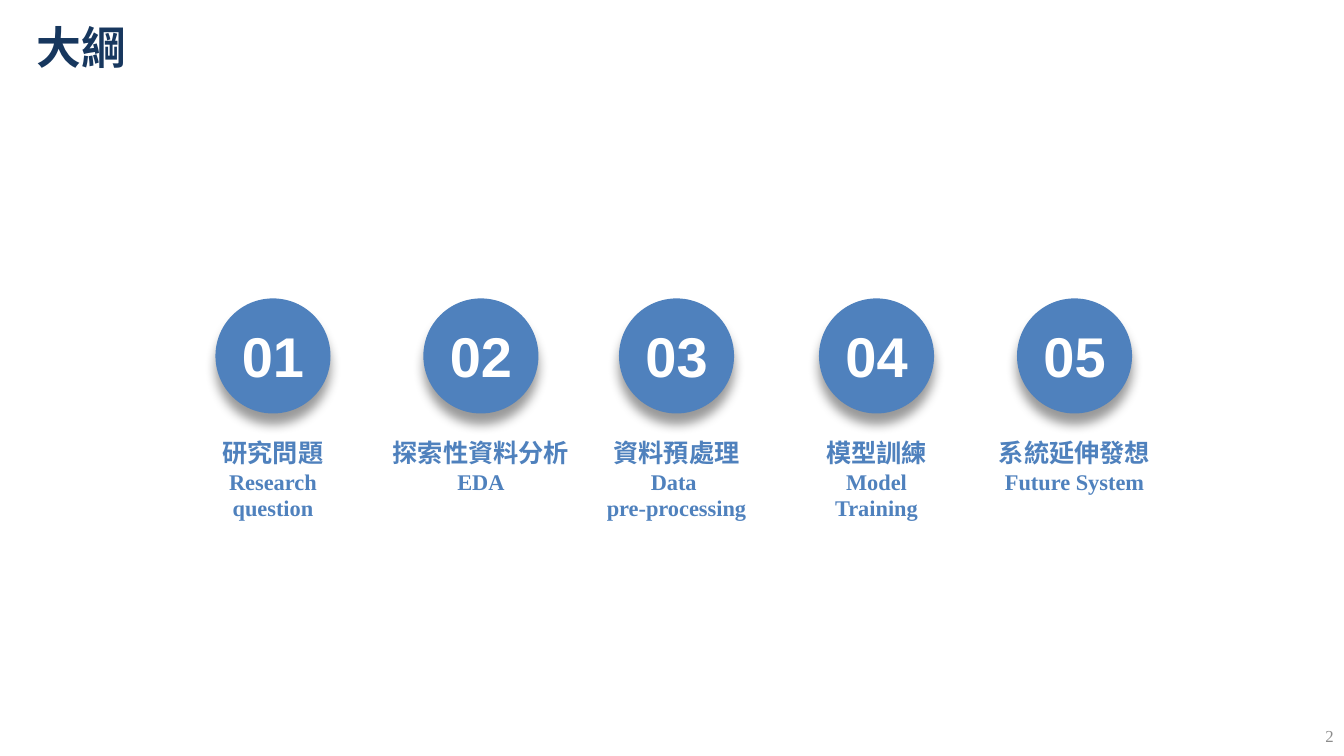
"""Build the outline slide with five numbered topics."""
import lxml.etree
import pptx
import pptx.dml.color
import pptx.enum.shapes
import pptx.enum.text
import pptx.oxml.ns
import pptx.util

Cm = pptx.util.Cm
Pt = pptx.util.Pt
RGBColor = pptx.dml.color.RGBColor
Align = pptx.enum.text.PP_ALIGN
Anchor = pptx.enum.text.MSO_ANCHOR
qn = pptx.oxml.ns.qn

NAVY = RGBColor(0x17, 0x37, 0x5E)
BLUE = RGBColor(0x4F, 0x81, 0xBD)
WHITE = RGBColor(0xFF, 0xFF, 0xFF)
GRAY = RGBColor(0x8C, 0x8C, 0x8C)

CHINESE = "Noto Sans CJK SC"
ENGLISH = "Times New Roman"
NUMERAL = "Arial"

CIRCLE_SIZE = 2.9
CIRCLE_TOP = 7.52
NUMBER_WIDTH, NUMBER_HEIGHT = 2.1, 1.96
NUMBER_TOP = 7.98
LABEL_TOP = 10.9

TOPICS = [
    (6.88, 3.07, "研究問題", ["Research", "question"]),
    (12.12, 5.0, "探索性資料分析", ["EDA"]),
    (17.05, 4.09, "資料預處理", ["Data ", "pre-processing"]),
    (22.09, 3.07, "模型訓練", ["Model", "Training"]),
    (27.08, 4.37, "系統延伸發想", ["Future System"]),
]


class OutlineSlide:
    """Hold the text style and the current slide."""

    def __init__(self, presentation):
        self.slide = presentation.slides.add_slide(presentation.slide_layouts[5])

    def add_run(self, paragraph, text, font_name, size, color, bold=True):
        """Add one styled run to a paragraph."""
        run = paragraph.add_run()
        run.text = text
        font = run.font
        font.name, font.size, font.bold = font_name, Pt(size), bold
        font.color.rgb = color
        if font_name == CHINESE:
            properties = run._r.get_or_add_rPr()
            lxml.etree.SubElement(properties, qn("a:ea"), typeface=CHINESE)

    def title(self, text):
        """Place and fill the title placeholder."""
        shape = self.slide.shapes.title
        shape.left, shape.top = Cm(0.66), Cm(0.53)
        shape.width, shape.height = Cm(21.87), Cm(1.8)
        frame = shape.text_frame
        frame.vertical_anchor = Anchor.TOP
        frame.auto_size = pptx.enum.text.MSO_AUTO_SIZE.NONE
        paragraph = frame.paragraphs[0]
        paragraph.alignment = Align.LEFT
        paragraph.line_spacing = 0.9
        self.add_run(paragraph, text, CHINESE, 32, NAVY)

    def text_box(self, left, top, width, height, lines, alignment=Align.CENTER,
                 anchor=Anchor.TOP, wrap=False, bold=True):
        """Add a text box with one paragraph for each styled line."""
        shape = self.slide.shapes.add_textbox(Cm(left), Cm(top), Cm(width), Cm(height))
        frame = shape.text_frame
        frame.word_wrap = wrap
        frame.vertical_anchor = anchor
        if not wrap:
            frame.auto_size = pptx.enum.text.MSO_AUTO_SIZE.SHAPE_TO_FIT_TEXT
        for index, (text, font_name, size, color) in enumerate(lines):
            paragraph = frame.add_paragraph() if index else frame.paragraphs[0]
            paragraph.alignment = alignment
            self.add_run(paragraph, text, font_name, size, color, bold)

    def circle(self, center):
        """Add a blue circle with a soft shadow below it."""
        shape = self.slide.shapes.add_shape(
            pptx.enum.shapes.MSO_SHAPE.OVAL, Cm(center - CIRCLE_SIZE / 2),
            Cm(CIRCLE_TOP), Cm(CIRCLE_SIZE), Cm(CIRCLE_SIZE))
        shape.fill.solid()
        shape.fill.fore_color.rgb = BLUE
        shape.line.fill.background()
        shape.shadow.inherit = False
        effects = shape._element.spPr.find(qn("a:effectLst"))
        shadow = lxml.etree.SubElement(
            effects, qn("a:outerShdw"), blurRad=str(Pt(8)), dist=str(Pt(8)),
            dir="5400000", algn="t", rotWithShape="0")
        color = lxml.etree.SubElement(shadow, qn("a:srgbClr"), val="000000")
        lxml.etree.SubElement(color, qn("a:alpha"), val="40000")

    def topic(self, number, center, width, chinese, english):
        """Add a numbered circle and its bilingual label."""
        self.circle(center)
        self.text_box(center - NUMBER_WIDTH / 2, NUMBER_TOP, NUMBER_WIDTH, NUMBER_HEIGHT,
                      [(f"{number:02}", NUMERAL, 40, WHITE)])
        lines = [(chinese, CHINESE, 18, BLUE)]
        lines += [(text, ENGLISH, 16, BLUE) for text in english]
        height = 1.02 + 0.68 * len(english)
        self.text_box(center - width / 2, LABEL_TOP, width, height, lines)

    def page_number(self, text):
        """Add the page number in the bottom right corner."""
        self.text_box(25.96, 18.03, 7.9, 1.02, [(text, ENGLISH, 12, GRAY)],
                      Align.RIGHT, Anchor.MIDDLE, wrap=True, bold=False)


def main():
    """Create and save the presentation."""
    presentation = pptx.Presentation()
    presentation.slide_width, presentation.slide_height = Cm(33.87), Cm(19.05)
    outline = OutlineSlide(presentation)
    outline.title("大綱")
    outline.page_number("2")
    for number, topic in enumerate(TOPICS, 1):
        outline.topic(number, *topic)
    presentation.save("out.pptx")


if __name__ == "__main__":
    main()
